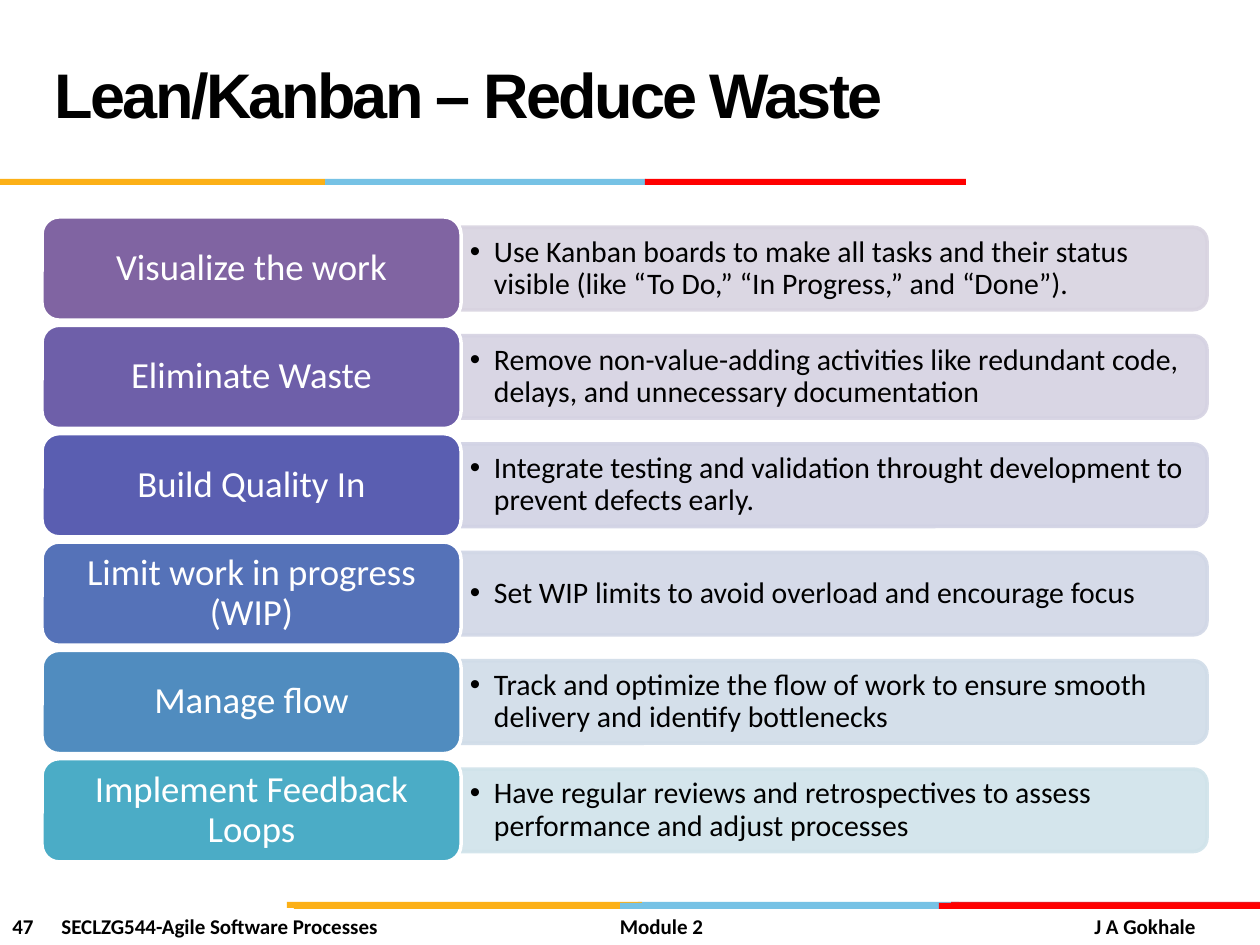
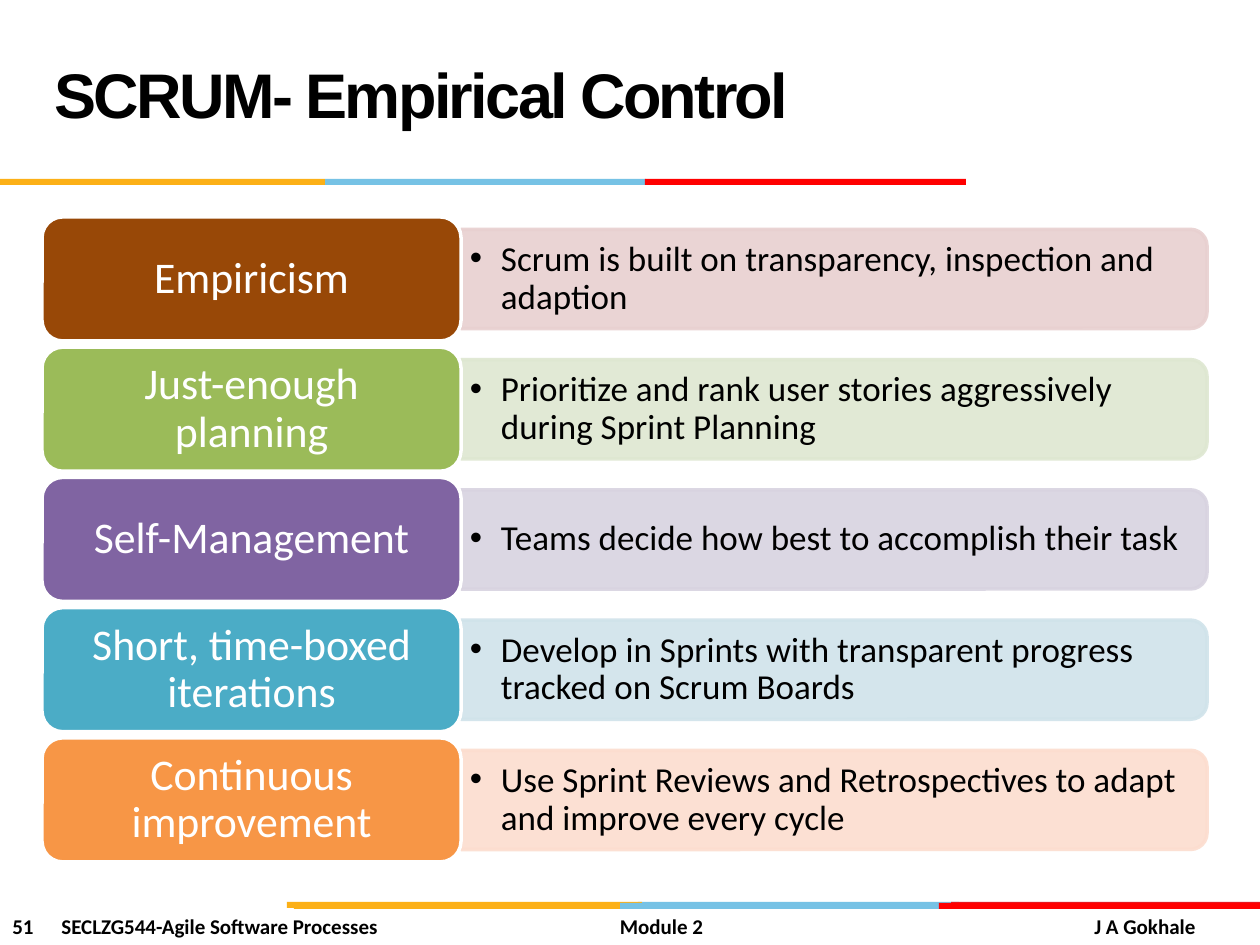
import pptx
import pptx.util
import pptx.dml.color
import pptx.enum.shapes
import pptx.enum.text
import pptx.oxml.ns
import lxml.etree

PX = 914400 / 126
BODY_FONT = "Calibri"
TITLE_FONT = "Arial"
BLACK, WHITE = "000000", "FFFFFF"
YELLOW, BLUE, RED, DARK_RED = "FCB017", "76C2E5", "FF0000", "E31C24"

SHAPE = pptx.enum.shapes.MSO_SHAPE
ALIGN = pptx.enum.text.PP_ALIGN
MIDDLE = pptx.enum.text.MSO_ANCHOR.MIDDLE

# Coloured bands on every slide: left, top, width, colour
BANDS = [
    (638, 902, 321, BLUE), (951, 902, 309, DARK_RED), (287, 902, 355, YELLOW),
    (620, 903, 321, BLUE), (294, 903, 326, YELLOW), (939, 903, 321, RED),
    (325, 179, 321, BLUE), (0, 179, 325, YELLOW), (645, 179, 321, RED),
]
BAND_HEIGHT = 6

# Area filled by the rows of label and panel
ROWS_TOP, ROWS_HEIGHT = 217, 645
LABEL_LEFT, LABEL_WIDTH = 42, 419
PANEL_WIDTH = 746
GAP_RATIO, PANEL_RATIO = 0.05, 0.8

# Rows: label, label colour, panel text, panel colour
WASTE_ROWS = [
    ("Visualize the work", "8064A2",
     "Use Kanban boards to make all tasks and their status visible "
     "(like “To Do,” “In Progress,” and “Done”).", "D8D3E0"),
    ("Eliminate Waste", "6E5FA9",
     "Remove non-value-adding activities like redundant code, delays, "
     "and unnecessary documentation", "D5D2E2"),
    ("Build Quality In", "5A5EB1",
     "Integrate testing and validation throught development to prevent "
     "defects early.", "D1D2E4"),
    ("Limit work in progress (WIP)", "5572B8",
     "Set WIP limits to avoid overload and encourage focus", "D1D7E6"),
    ("Manage flow", "508CBF",
     "Track and optimize the flow of work to ensure smooth delivery and "
     "identify bottlenecks", "D0DCE8"),
    ("Implement Feedback Loops", "4BACC6",
     "Have regular reviews and retrospectives to assess performance and "
     "adjust processes", "D0E3EA"),
]
SCRUM_ROWS = [
    ("Empiricism", "984807",
     "Scrum is built on transparency, inspection and adaption", "E8D0D0"),
    ("Just-enough planning", "9BBB59",
     "Prioritize and rank user stories aggressively during Sprint Planning",
     "DEE7D1"),
    ("Self-Management", "8064A2",
     "Teams decide how best to accomplish their task", "D8D3E0"),
    ("Short, time-boxed iterations", "4BACC6",
     "Develop in Sprints with transparent progress tracked on Scrum Boards",
     "D0E3EA"),
    ("Continuous improvement", "F79646",
     "Use Sprint Reviews and Retrospectives to adapt and improve every cycle",
     "FCDDCF"),
]


def px(*lengths):
    return [pptx.util.Emu(round(length * PX)) for length in lengths]


def color(hex_string):
    return pptx.dml.color.RGBColor.from_string(hex_string)


def add_child(parent, tag, **attributes):
    child = lxml.etree.SubElement(parent, pptx.oxml.ns.qn(tag))
    for name, value in attributes.items():
        child.set(name, str(value))
    return child


def style_text(para, size, hex_string, font=BODY_FONT, bold=False):
    for span in para.runs:
        span.font.name = font
        span.font.size = pptx.util.Pt(size)
        span.font.bold = bold
        span.font.color.rgb = color(hex_string)


def set_frame(frame, inset_x, inset_y):
    frame.word_wrap = True
    frame.vertical_anchor = MIDDLE
    frame.margin_left, frame.margin_right = px(inset_x, inset_x)
    frame.margin_top, frame.margin_bottom = px(inset_y, inset_y)


def add_filled_shape(page, preset, place, fill, line=None):
    shape = page.shapes.add_shape(preset, *px(*place))
    shape.shadow.inherit = False
    shape.fill.solid()
    shape.fill.fore_color.rgb = color(fill)
    if line:
        shape.line.color.rgb = color(line)
        shape.line.width = pptx.util.Pt(2)
    else:
        shape.line.fill.background()
    return shape


def add_footer(page, text, left, width, align):
    box = page.shapes.add_textbox(*px(left, 907, width, 38))
    box.text_frame.word_wrap = True
    para = box.text_frame.paragraphs[0]
    para.text = text
    para.alignment = align
    style_text(para, 12, BLACK, bold=True)
    return para


def add_numbered_footer(page, number):
    para = add_footer(page, f"{number}\tSECLZG544-Agile Software Processes",
                      0, 514, ALIGN.LEFT)
    tabs = add_child(para._p.get_or_add_pPr(), "a:tabLst")
    add_child(tabs, "a:tab", pos=px(49)[0], algn="l")


def set_title(page, text):
    title = page.shapes.title
    title.left, title.top, title.width, title.height = px(42, 21, 872, 158)
    frame = title.text_frame
    frame.text = text
    frame.auto_size = pptx.enum.text.MSO_AUTO_SIZE.NONE
    frame.vertical_anchor = MIDDLE
    para = frame.paragraphs[0]
    para.alignment = ALIGN.LEFT
    para.line_spacing = pptx.util.Pt(36)
    style_text(para, 36, BLACK, TITLE_FONT, bold=True)
    para.runs[0].font._element.set("spc", "-150")


def add_panel(page, middle, height, fill):
    """A bar rounded at its right end: a top-rounded shape turned by 90°."""
    center = LABEL_LEFT + LABEL_WIDTH + PANEL_WIDTH / 2
    place = (center - height / 2, middle - PANEL_WIDTH / 2, height, PANEL_WIDTH)
    panel = add_filled_shape(page, SHAPE.ROUND_2_SAME_RECTANGLE, place, fill, fill)
    panel.rotation = 90
    for tone in panel._element.spPr.iter(pptx.oxml.ns.qn("a:srgbClr")):
        add_child(tone, "a:alpha", val=90000)


def add_bullet_text(page, text, middle, height, size, indent):
    box = page.shapes.add_textbox(
        *px(LABEL_LEFT + LABEL_WIDTH, middle - height / 2, PANEL_WIDTH - 4, height))
    set_frame(box.text_frame, 9, 5)
    para = box.text_frame.paragraphs[0]
    para.text = text
    para.line_spacing = 0.9
    properties = para._p.get_or_add_pPr()
    properties.set("marL", str(px(indent)[0]))
    properties.set("indent", str(px(-indent)[0]))
    add_child(properties, "a:buFont", typeface=TITLE_FONT)
    add_child(properties, "a:buChar", char="•")
    style_text(para, size, BLACK)


def add_label(page, text, top, height, fill, size, inset):
    label = add_filled_shape(page, SHAPE.ROUNDED_RECTANGLE,
                             (LABEL_LEFT, top, LABEL_WIDTH, height), fill, WHITE)
    set_frame(label.text_frame, inset, 10)
    para = label.text_frame.paragraphs[0]
    para.text = text
    para.alignment = ALIGN.CENTER
    para.line_spacing = 0.9
    style_text(para, size, WHITE)


def add_rows(page, rows, label_size, label_inset, text_size, indent):
    height = ROWS_HEIGHT / (len(rows) + GAP_RATIO * (len(rows) - 1))
    for index, (label, label_fill, text, panel_fill) in enumerate(rows):
        top = ROWS_TOP + index * height * (1 + GAP_RATIO)
        middle = top + height / 2
        add_panel(page, middle, height * PANEL_RATIO, panel_fill)
        add_bullet_text(page, text, middle, height * PANEL_RATIO, text_size, indent)
        add_label(page, label, top, height, label_fill, label_size, label_inset)


def add_page(deck, title, number):
    page = deck.slides.add_slide(deck.slide_layouts.get_by_name("Title Only"))
    for left, top, width, fill in BANDS:
        add_filled_shape(page, SHAPE.RECTANGLE, (left, top, width, BAND_HEIGHT), fill)
    add_numbered_footer(page, number)
    add_footer(page, "J A Gokhale", 1029, 179, ALIGN.RIGHT)
    add_footer(page, "Module 2", 588, 147, ALIGN.CENTER)
    set_title(page, title)
    return page


def main():
    deck = pptx.Presentation()
    deck.slide_width, deck.slide_height = px(1260, 945)

    # Waste reduction
    page = add_page(deck, "Lean/Kanban – Reduce Waste", 47)
    add_rows(page, WASTE_ROWS, label_size=21, label_inset=16, text_size=17, indent=24)

    # Empirical control
    page = add_page(deck, "SCRUM- Empirical Control", 51)
    add_rows(page, SCRUM_ROWS, label_size=25, label_inset=19, text_size=20, indent=31)

    deck.save("out.pptx")


if __name__ == "__main__":
    main()
